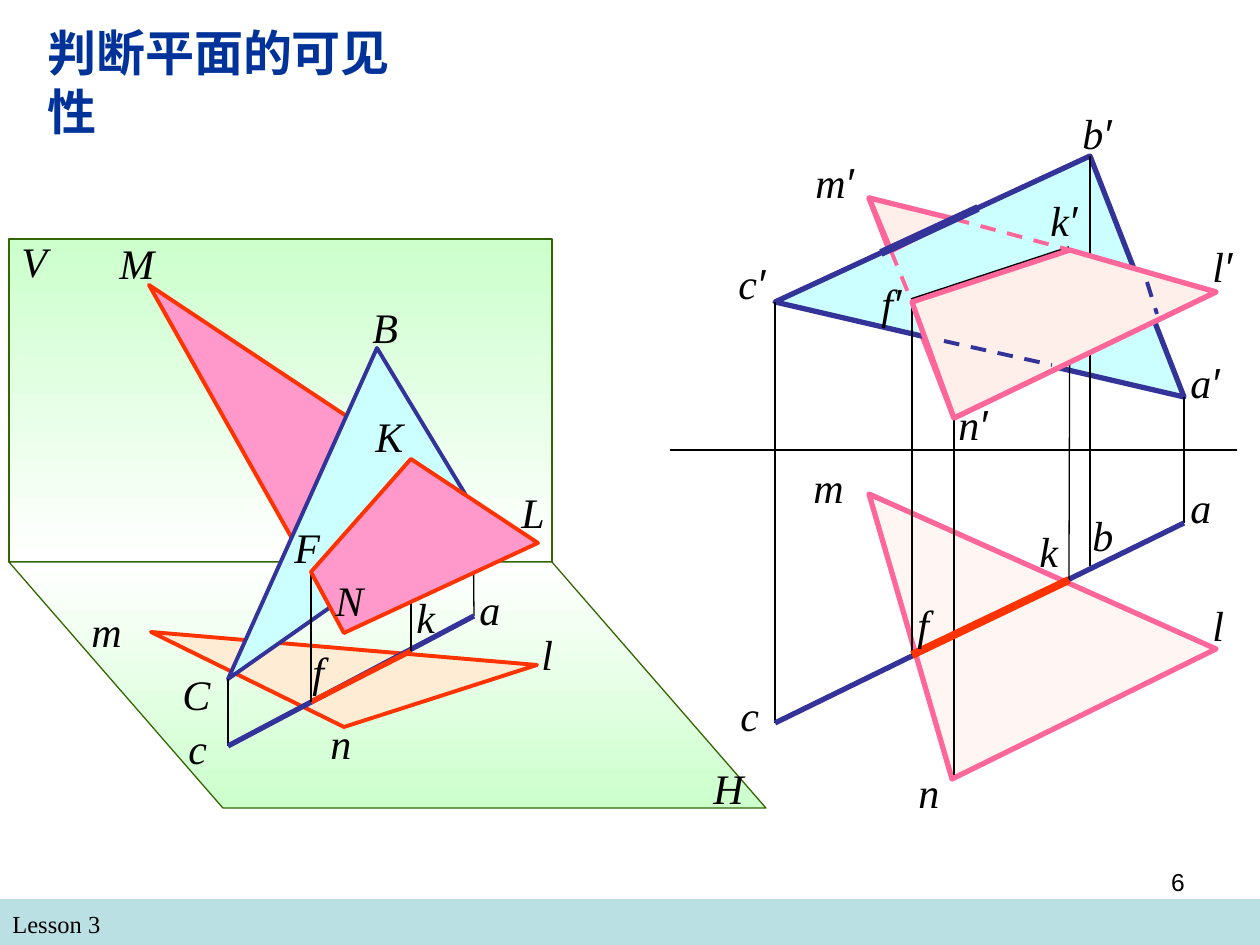
from lxml import etree
from pptx import Presentation
from pptx import util as u
from pptx.dml.color import RGBColor
from pptx.enum import dml, shapes, text
from pptx.oxml.ns import qn

SCALE = 914400 / 126
BLACK, NAVY, RED, PINK = "000000", "333399", "FF3300", "FF6699"
CYAN, ROSE, CREAM, GREEN = "CCFFFF", "FF99CC", "FFEFEB", "336600"
SERIF, SANS = "Times New Roman", "Arial"


def px(n):
    """Turn px into EMU."""
    return u.Emu(round(n * SCALE))


def rgb(value):
    """Turn a hex string into a colour."""
    return RGBColor.from_string(value)


def paint(sp, fill, line, width, alpha=None):
    """Fill and outline a shape; a pair of colours runs from top to bottom."""
    sp.shadow.inherit = False
    if isinstance(fill, tuple):
        sp.fill.gradient()
        sp.fill.gradient_angle = 270
        for stop, color in zip(sp.fill.gradient_stops, fill):
            stop.color.rgb = rgb(color)
    else:
        sp.fill.solid()
        sp.fill.fore_color.rgb = rgb(fill)
    if alpha:
        color = sp.fill._xPr.find(qn("a:solidFill"))[0]
        etree.SubElement(color, qn("a:alpha"), val=str(alpha * 1000))
    if line:
        sp.line.color.rgb = rgb(line)
        sp.line.width = u.Pt(width)
    else:
        sp.line.fill.background()


def polygon(s, box, points, fill, line, width, alpha=None):
    """Draw a closed outline through points of the box."""
    moved = [(box[0] + x, box[1] + y) for x, y in points]
    builder = s.shapes.build_freeform(*moved[0], scale=SCALE)
    builder.add_line_segments(moved[1:], close=True)
    paint(builder.convert_to_shape(), fill, line, width, alpha)


def segment(s, box, start, end, color=BLACK, width=0.75, dashed=False):
    """Draw a straight line between two points of the box."""
    x, y = box
    c = s.shapes.add_connector(
        shapes.MSO_CONNECTOR.STRAIGHT,
        px(x + start[0]), px(y + start[1]), px(x + end[0]), px(y + end[1]))
    c.line.color.rgb = rgb(color)
    c.line.width = u.Pt(width)
    if dashed:
        c.line.dash_style = dml.MSO_LINE.DASH
    etree.SubElement(c._element.spPr, qn("a:effectLst"))


def write(s, x, y, w, h, words, size, font, color=BLACK, bold=False, italic=False,
          align=text.PP_ALIGN.LEFT, wrap=True):
    """Add a one-paragraph text box; prime marks are set in the sans font."""
    tf = s.shapes.add_textbox(px(x), px(y), px(w), px(h)).text_frame
    tf.word_wrap = wrap
    p = tf.paragraphs[0]
    p.alignment = align
    p.font.size, p.font.name = u.Pt(size), font
    p.font.bold, p.font.italic = bold, italic
    p.font.color.rgb = rgb(color)
    name, prime, _ = words.partition("′")
    p.add_run().text = name
    if prime:
        r = p.add_run()
        r.text, r.font.name = prime, SANS


def label_points(s, box, labels):
    """Name the points of a drawing."""
    for name, (x, y) in labels.items():
        write(s, box[0] + x, box[1] + y, 80, 63, name, 24, SERIF, italic=True)


def two_view_drawing(s, box):
    """Draw the front view above the axis and the top view below it."""
    a1, b1, c1 = (514, 297), (420, 56), (105, 202)
    f1, k1, l1, m1, n1 = (242, 202), (400, 150), (546, 192), (199, 98), (284, 318)
    a, b, c = (514, 423), (420, 466), (105, 623)
    f, k, l, m, n = (242, 555), (399, 480), (546, 549), (199, 394), (282, 679)
    upper, lower = (284, 119), (221, 151)

    polygon(s, box, [m1, n1, l1], CREAM, PINK, 3, 50)
    polygon(s, box, [c1, b1, a1], CYAN, NAVY, 3)
    segment(s, box, (0, 350), (567, 350))
    for top, bottom in ((c1, c), (a1, a), (b1, b)):
        segment(s, box, top, bottom)
    polygon(s, box, [m, l, n], CREAM, PINK, 3, 50)
    segment(s, box, n1, (284, 675))
    segment(s, box, c, a, NAVY, 3)
    segment(s, box, k1, f1, BLACK, 4.5)
    segment(s, box, f1, f)
    segment(s, box, k1, k)
    segment(s, box, f, k, RED, 4.5)
    polygon(s, box, [upper, m1, lower], CREAM, PINK, 3)
    polygon(s, box, [n1, l1, k1, f1], CREAM, PINK, 3)
    for start, end, color in (
            (upper, k1, PINK), (lower, f1, PINK),
            ((274, 241), (382, 265), NAVY), ((477, 182), (487, 214), NAVY)):
        segment(s, box, start, end, color, 2.25, True)
    segment(s, box, (211, 153), (308, 108), NAVY, 4.5)
    label_points(s, box, {
        "a′": (508, 250), "b′": (400, 1), "c′": (56, 151), "f′": (199, 171),
        "k′": (368, 88), "l′": (530, 134), "m′": (133, 50), "n′": (276, 292),
        "a": (508, 375), "b": (410, 403), "c": (58, 583), "f": (235, 492),
        "k": (357, 419), "l": (530, 493), "m": (131, 355), "n": (236, 660)})


def space_drawing(s, box):
    """Draw the two planes in space with their traces on V and H."""
    A, B, C = (464, 268), (368, 109), (219, 440)
    F, K, L, M, N = (302, 333), (402, 220), (529, 304), (140, 46), (335, 394)
    a, c = (465, 377), (219, 507)
    f, k, l, m, n = (302, 463), (402, 412), (528, 426), (142, 393), (335, 488)

    wall = s.shapes.add_shape(shapes.MSO_SHAPE.RECTANGLE,
                              px(box[0]), px(box[1]), px(543), px(323))
    paint(wall, ("CCFFCC", "FFFFFF"), GREEN, 0.75)
    polygon(s, box, [(0, 323), (214, 569), (757, 569), (543, 323)],
            ("FFFFFF", "CCFFCC"), GREEN, 0.75)
    polygon(s, box, [F, M, K], ROSE, RED, 2.25)
    polygon(s, box, [n, l, m], "FFECD5", RED, 2.25)
    polygon(s, box, [A, C, B], CYAN, NAVY, 2.25)
    segment(s, box, A, a)
    segment(s, box, C, c)
    segment(s, box, a, c, NAVY, 3)
    segment(s, box, f, k, RED, 3)
    segment(s, box, F, f)
    segment(s, box, K, k)
    polygon(s, box, [K, F, N, L], ROSE, RED, 2.25)
    label_points(s, box, {
        "V": (0, -10), "H": (692, 517), "B": (351, 56), "C": (161, 423),
        "F": (273, 276), "K": (354, 165), "L": (500, 241), "M": (98, -8),
        "N": (314, 329), "a": (458, 338), "c": (167, 477), "f": (291, 400),
        "k": (395, 346), "l": (520, 383), "m": (70, 360), "n": (309, 472)})


def footer(s, x, y):
    """Draw the bottom band with the lesson name and the page number."""
    band = s.shapes.add_shape(shapes.MSO_SHAPE.RECTANGLE, px(x), px(y), px(1260), px(46))
    paint(band, "BBE0E3", None, 0)
    write(s, x, y + 4, 609, 42, "Lesson 3", 14, SERIF)
    write(s, x + 903, y - 38, 294, 65, "6", 14, SANS, align=text.PP_ALIGN.RIGHT)


def main():
    """Build the slide."""
    prs = Presentation()
    prs.slide_width, prs.slide_height = px(1260), px(945)
    s = prs.slides.add_slide(prs.slide_layouts[6])
    footer(s, 0, 899)
    two_view_drawing(s, (670, 100))
    space_drawing(s, (9, 239))
    write(s, 35, 16, 416, 72, "判断平面的可见性", 28, SANS, "003399", bold=True, wrap=False)
    prs.save("out.pptx")


if __name__ == "__main__":
    main()
